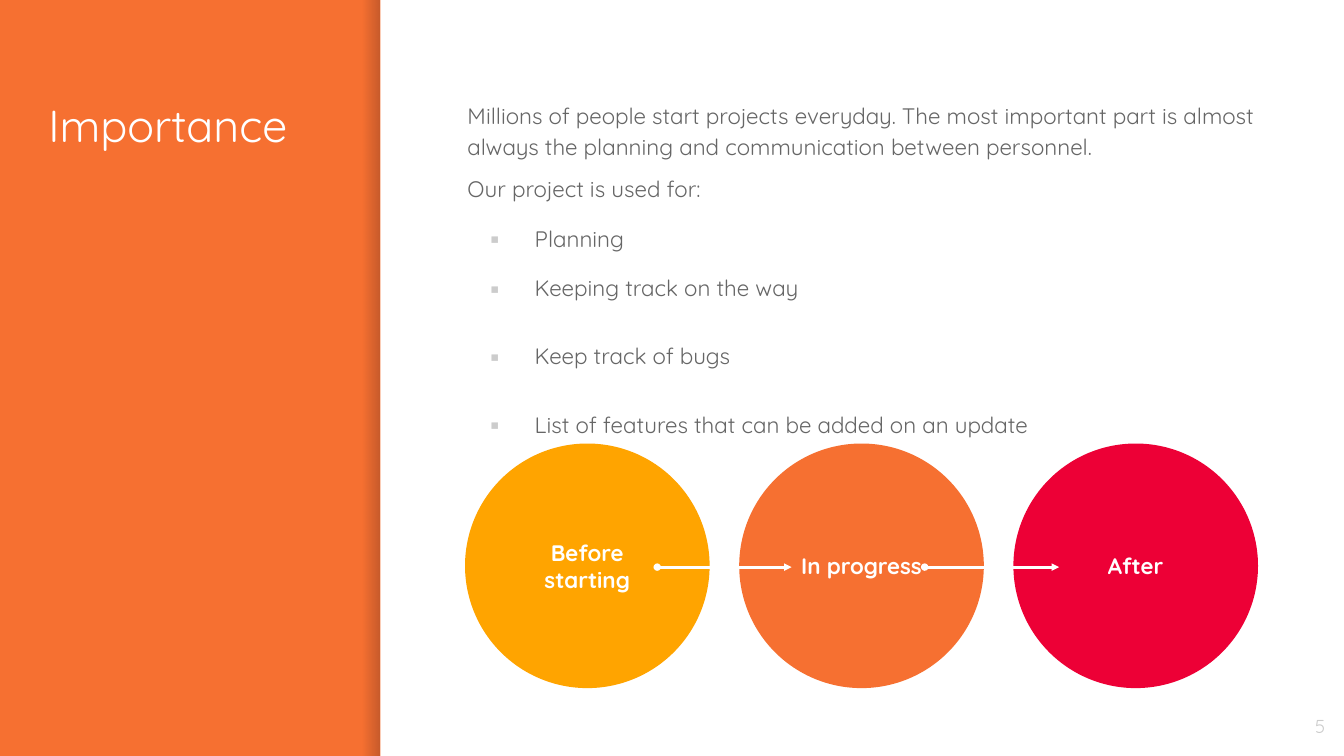
import pptx
import pptx.util
import pptx.dml.color
import pptx.enum.shapes
import pptx.enum.text
import pptx.oxml.ns
from lxml import etree

Inches = pptx.util.Inches
Pt = pptx.util.Pt
SHAPE = pptx.enum.shapes.MSO_SHAPE
ALIGN = pptx.enum.text.PP_ALIGN
ANCHOR = pptx.enum.text.MSO_ANCHOR
qn = pptx.oxml.ns.qn

WIDTH = 10
HEIGHT = WIDTH * 9 / 16

FONT = "Quicksand"
ORANGE = "F67031"
WHITE = "FFFFFF"
GREY = "666666"
PALE = "CCCCCC"

INTRO = [
    "Millions of people start projects everyday. The most important part is "
    "almost always the planning and communication between personnel.",
    "Our project is used for:",
]
USES = [
    "Planning",
    "Keeping track on the way",
    "Keep track of bugs",
    "List of features that can be added on an update",
]
STAGES = [
    ("Before starting", "FFA400"),
    ("In progress", ORANGE),
    ("After", "ED0036"),
]


def color(code):
    return pptx.dml.color.RGBColor.from_string(code)


def box(*sides):
    return [Inches(side) for side in sides]


def style(para, size, code, align=ALIGN.LEFT, bold=False):
    para.alignment = align
    para.font.name = FONT
    para.font.size = Pt(size)
    para.font.bold = bold
    para.font.color.rgb = color(code)


def setup(frame, anchor):
    frame.word_wrap = True
    frame.auto_size = pptx.enum.text.MSO_AUTO_SIZE.NONE
    frame.vertical_anchor = anchor
    frame.margin_left = frame.margin_right = Inches(0.1)
    frame.margin_top = frame.margin_bottom = Inches(0.1)


def add_shape(slide, kind, place, code):
    shape = slide.shapes.add_shape(kind, *box(*place))
    shape.shadow.inherit = False
    shape.line.fill.background()
    shape.fill.solid()
    shape.fill.fore_color.rgb = color(code)
    return shape


def add_shade(slide, place):
    shade = add_shape(slide, SHAPE.RECTANGLE, place, WHITE)
    shade.fill.gradient()
    shade.fill.gradient_angle = 0
    for stop in shade.fill.gradient_stops:
        stop.color.rgb = color("000014")
    tones = shade._element.spPr.iter(qn("a:srgbClr"))
    for tone, alpha in zip(tones, (0, 20)):
        etree.SubElement(tone, qn("a:alpha"), val=str(alpha * 1000))


def add_title(slide, text):
    title = slide.shapes.title
    title.left, title.top, title.width, title.height = box(0.26, 0.63, 2.24, 4.35)
    slide.shapes._spTree.append(title._element)
    setup(title.text_frame, ANCHOR.TOP)
    title.text_frame.text = text
    style(title.text_frame.paragraphs[0], 24, WHITE)


def add_text(slide, place, anchor):
    frame = slide.shapes.add_textbox(*box(*place)).text_frame
    setup(frame, anchor)
    return frame


def add_bullet(para):
    props = para._p.get_or_add_pPr()
    props.set("marL", str(Inches(0.5)))
    props.set("indent", str(Inches(-0.33)))
    tone = etree.SubElement(props, qn("a:buClr"))
    etree.SubElement(tone, qn("a:srgbClr"), val=PALE)
    etree.SubElement(props, qn("a:buFont"), typeface=FONT)
    etree.SubElement(props, qn("a:buChar"), char="▪")


def add_body(slide):
    frame = add_text(slide, (3.38, 0.63, 6.12, 3.02), ANCHOR.TOP)
    for index, text in enumerate(INTRO + USES):
        para = frame.paragraphs[0] if index == 0 else frame.add_paragraph()
        para.text = text
        para.line_spacing = 1.15
        para.space_before = Pt(10 if text in USES else 6)
        para.space_after = Pt(10 if text in USES[1:] else 0)
        if text in USES:
            add_bullet(para)
        style(para, 12, GREY)


def add_stage(slide, left, text, code):
    stage = add_shape(slide, SHAPE.OVAL, (left, 3.3, 1.82, 1.82), code)
    setup(stage.text_frame, ANCHOR.MIDDLE)
    stage.text_frame.text = text
    style(stage.text_frame.paragraphs[0], 12, WHITE, ALIGN.CENTER, True)


def add_arrow(slide, left, top, width):
    arrow = slide.shapes.add_connector(
        pptx.enum.shapes.MSO_CONNECTOR.STRAIGHT,
        *box(left, top, left + width, top))
    arrow.line.color.rgb = color(WHITE)
    arrow.line.width = Pt(1.5)
    line = arrow._element.spPr.find(qn("a:ln"))
    for end, kind in (("a:headEnd", "oval"), ("a:tailEnd", "triangle")):
        etree.SubElement(line, qn(end), type=kind, w="sm", len="sm")
    etree.SubElement(arrow._element.spPr, qn("a:effectLst"))


def add_number(slide, text):
    frame = add_text(slide, (9.36, 5.19, 0.6, 0.43), ANCHOR.MIDDLE)
    frame.text = text
    style(frame.paragraphs[0], 10, PALE, ALIGN.RIGHT)


def main():
    deck = pptx.Presentation()
    deck.slide_width, deck.slide_height = box(WIDTH, HEIGHT)
    slide = deck.slides.add_slide(deck.slide_layouts[5])
    slide.background.fill.solid()
    slide.background.fill.fore_color.rgb = color(ORANGE)

    add_shade(slide, (2.7, 0, 0.12, HEIGHT))
    add_shape(slide, SHAPE.RECTANGLE, (2.83, 0, 7.17, HEIGHT), WHITE)
    add_title(slide, "Importance")
    add_body(slide)
    add_number(slide, "5")
    for index, (text, code) in enumerate(STAGES):
        add_stage(slide, 3.46 + 2.04 * index, text, code)
    for left in (4.89, 6.88):
        add_arrow(slide, left, 4.22, 1)

    deck.save("out.pptx")


if __name__ == "__main__":
    main()
